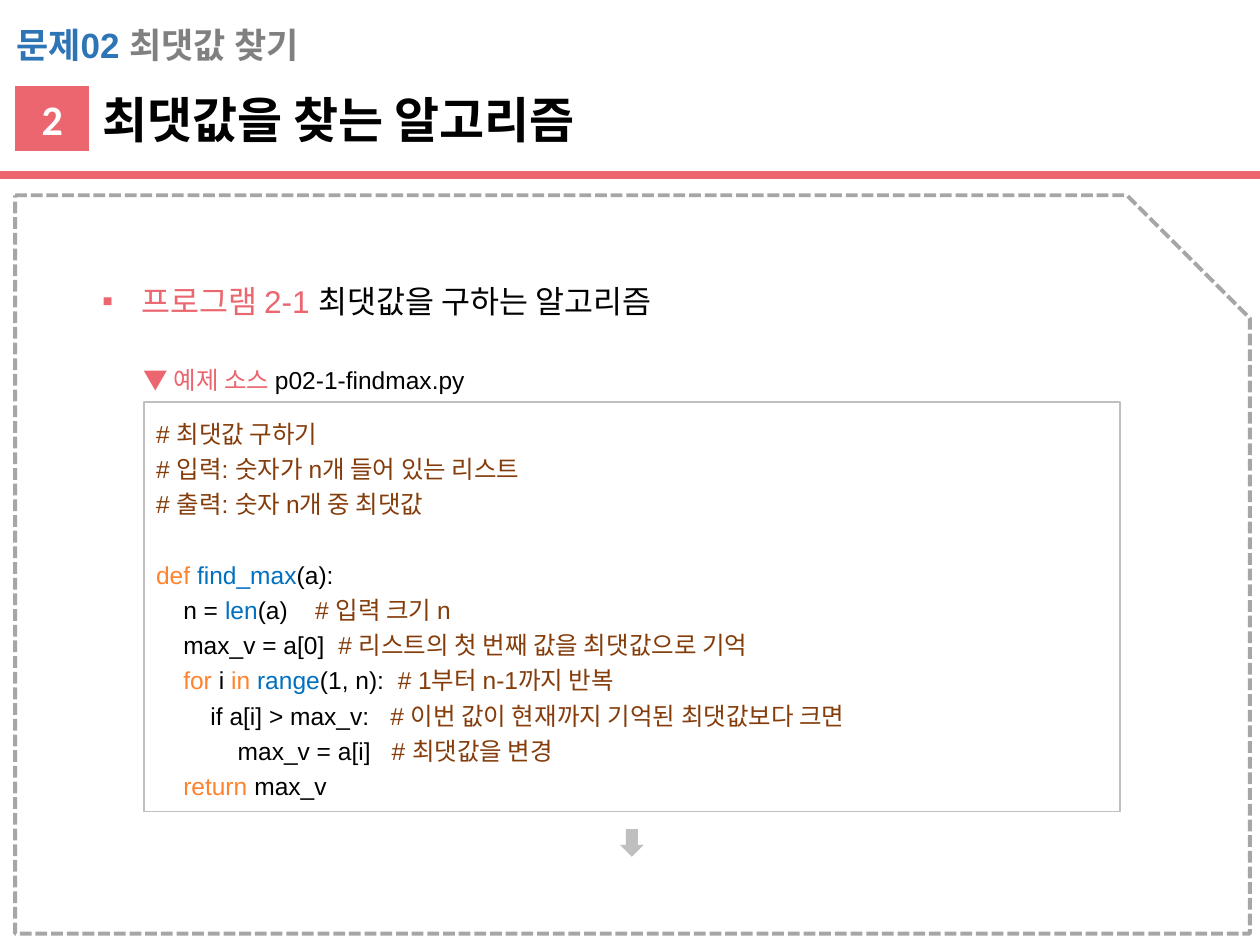
from lxml import etree
from pptx import Presentation
from pptx.dml.color import RGBColor
from pptx.enum.dml import MSO_LINE
from pptx.enum.shapes import MSO_CONNECTOR, MSO_SHAPE
from pptx.enum.text import MSO_ANCHOR, MSO_AUTO_SIZE, PP_ALIGN
from pptx.oxml.ns import qn
from pptx.util import Inches, Pt

DASH = MSO_LINE.SQUARE_DOT
STRAIGHT = MSO_CONNECTOR.STRAIGHT
SNIPPED = MSO_SHAPE.SNIP_1_RECTANGLE
PROCESS = MSO_SHAPE.FLOWCHART_PROCESS
RECTANGLE = MSO_SHAPE.RECTANGLE
DOWN_ARROW = MSO_SHAPE.DOWN_ARROW
TOP, MIDDLE = MSO_ANCHOR.TOP, MSO_ANCHOR.MIDDLE
LEFT, CENTER = PP_ALIGN.LEFT, PP_ALIGN.CENTER
NO_AUTOFIT = MSO_AUTO_SIZE.NONE

COLORS = {
    "accent": "EB666E",
    "chapter": "2E75B6",
    "topic": "808080",
    "frame": "A6A6A6",
    "border": "BFBFBF",
    "text": "000000",
    "white": "FFFFFF",
    "comment": "843C0B",
    "keyword": "FF822D",
    "name": "0070C0",
}

CODE = [
    [("# 최댓값 구하기", "comment")],
    [("# 입력: 숫자가 n개 들어 있는 리스트", "comment")],
    [("# 출력: 숫자 n개 중 최댓값", "comment")],
    [],
    [("def ", "keyword"), ("find_max", "name"), ("(a):", "text")],
    [("    n = ", "text"), ("len", "name"), ("(a)    ", "text"),
     ("# 입력 크기 n", "comment")],
    [("    max_v = a[0]  ", "text"),
     ("# 리스트의 첫 번째 값을 최댓값으로 기억", "comment")],
    [("    for ", "keyword"), ("i ", "text"), ("in ", "keyword"),
     ("range", "name"), ("(1, n):  ", "text"),
     ("# 1부터 n-1까지 반복", "comment")],
    [("        if a[i] > max_v:   ", "text"),
     ("# 이번 값이 현재까지 기억된 최댓값보다 크면", "comment")],
    [("            max_v = a[i]   ", "text"), ("# 최댓값을 변경", "comment")],
    [("    return ", "keyword"), ("max_v", "text")],
]


def rgb(name):
    return RGBColor.from_string(COLORS[name])


def inches(box):
    return [Inches(v) for v in box]


def write(p, parts, size, bold=False, font="Arial"):
    for text, color in parts:
        r = p.add_run()
        r.text = text
        r.font.name = font
        r.font.size = Pt(size)
        r.font.bold = bold
        r.font.color.rgb = rgb(color)


def add_shape(s, kind, box, fill=None, line=None, width=1):
    sp = s.shapes.add_shape(kind, *inches(box))
    sp.shadow.inherit = False
    if fill:
        sp.fill.solid()
        sp.fill.fore_color.rgb = rgb(fill)
    else:
        sp.fill.background()
    if line:
        sp.line.color.rgb = rgb(line)
        sp.line.width = Pt(width)
    else:
        sp.line.fill.background()
    return sp


def add_label(s, box, parts, size, bold=False):
    tf = s.shapes.add_textbox(*inches(box)).text_frame
    tf.word_wrap = True
    write(tf.paragraphs[0], parts, size, bold)


def fit_placeholder(sp, box):
    sp.left, sp.top, sp.width, sp.height = inches(box)
    tf = sp.text_frame
    tf.auto_size = NO_AUTOFIT
    tf.vertical_anchor = TOP
    p = tf.paragraphs[0]
    p.alignment = LEFT
    p.space_before = Pt(0)
    return p


def add_frame(s, box):
    sp = add_shape(s, SNIPPED, box, line="frame", width=2.25)
    sp.line.dash_style = DASH


def add_header(s, box):
    left, top, width, height = box
    bottom = top + height
    rule = s.shapes.add_connector(STRAIGHT, *inches(
        (left, bottom, left + width, bottom)))
    rule.line.color.rgb = rgb("accent")
    rule.line.width = Pt(4.5)
    etree.SubElement(rule._element.spPr, qn("a:effectLst"))

    add_label(s, (left + 0.03, top + 0.14, 9.45, 0.44),
              [("문제02 ", "chapter"), ("최댓값 찾기", "topic")], 20, True)

    badge = add_shape(s, PROCESS, (left + 0.12, top + 0.68, 0.59, 0.52), "accent")
    tf = badge.text_frame
    tf.vertical_anchor = MIDDLE
    tf.paragraphs[0].alignment = CENTER
    write(tf.paragraphs[0], [("2", "white")], 24, True, "Calibri")

    p = fit_placeholder(s.shapes.title, (left + 0.71, top + 0.66, 9.21, 0.57))
    write(p, [("최댓값을 찾는 알고리즘", "text")], 28, True)


def add_topic(s, box):
    p = fit_placeholder(s.placeholders[1], box)
    p.line_spacing = 1.65
    pPr = p._p.get_or_add_pPr()
    pPr.set("marL", str(Inches(0.31)))
    pPr.set("indent", str(Inches(-0.31)))
    color = etree.SubElement(pPr, qn("a:buClr"))
    etree.SubElement(color, qn("a:srgbClr"), val=COLORS["accent"])
    etree.SubElement(pPr, qn("a:buFont"), typeface="Arial")
    etree.SubElement(pPr, qn("a:buChar"), char="▪")
    write(p, [("프로그램 2-1 ", "accent"), ("최댓값을 구하는 알고리즘", "text")], 18)


def add_code(s, box):
    left, top, width, height = box
    add_label(s, (left - 0.1, top - 0.34, 3.42, 0.34),
              [("▼ 예제 소스 ", "accent"), ("p02-1-findmax.py", "text")], 14)

    tf = add_shape(s, RECTANGLE, box, line="border").text_frame
    tf.word_wrap = True
    tf.vertical_anchor = MIDDLE
    for i, parts in enumerate(CODE):
        p = tf.add_paragraph() if i else tf.paragraphs[0]
        p.alignment = LEFT
        p.line_spacing = 1.2
        write(p, parts, 14)
        if not parts:
            etree.SubElement(p._p, qn("a:endParaRPr"), sz="1400")

    arrow_width = 0.19
    add_shape(s, DOWN_ARROW, (left + (width - arrow_width) / 2,
                              top + height + 0.14, arrow_width, 0.22), "border")


def main():
    prs = Presentation()
    prs.slide_width, prs.slide_height = Inches(10), Inches(7.5)
    s = prs.slides.add_slide(prs.slide_layouts[1])
    add_frame(s, (0.12, 1.55, 9.8, 5.86))
    add_header(s, (0, 0, 10, 1.39))
    add_topic(s, (0.71, 1.99, 8.66, 0.6))
    add_code(s, (1.14, 3.19, 7.75, 3.25))
    prs.save("out.pptx")


if __name__ == "__main__":
    main()
